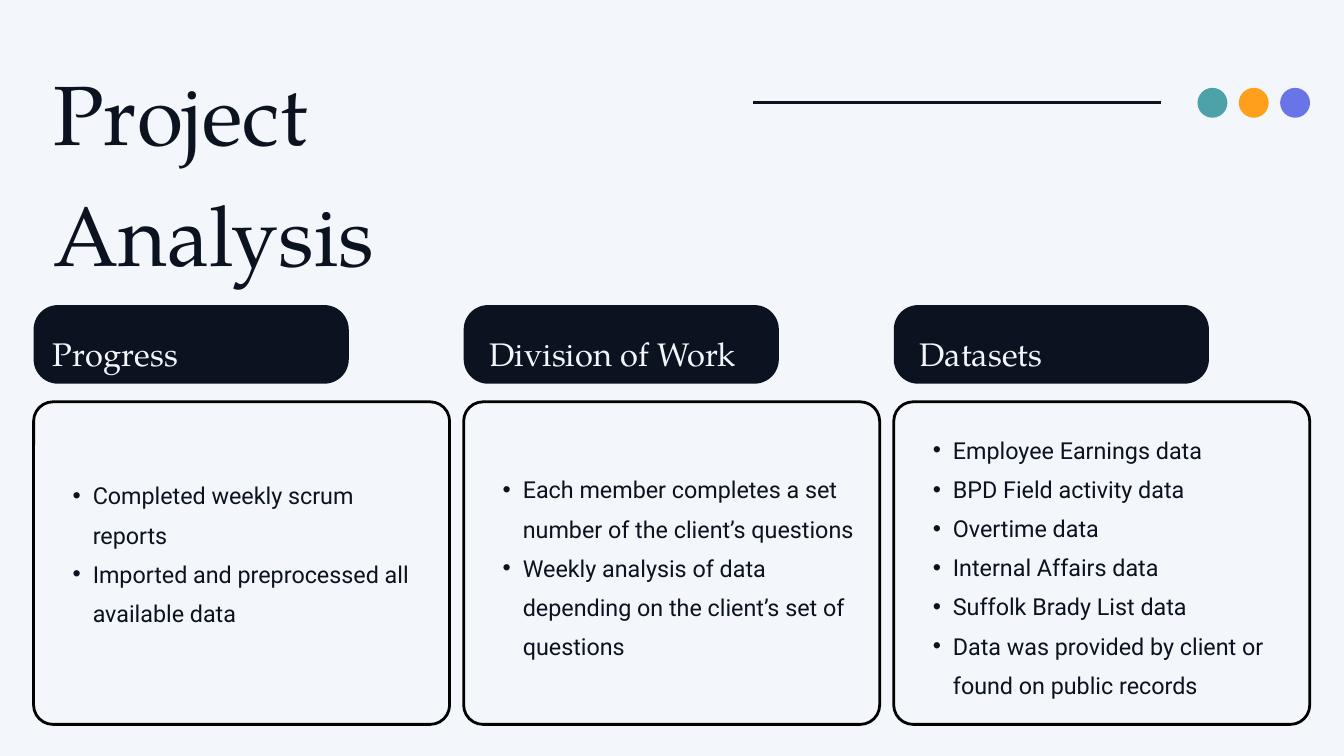
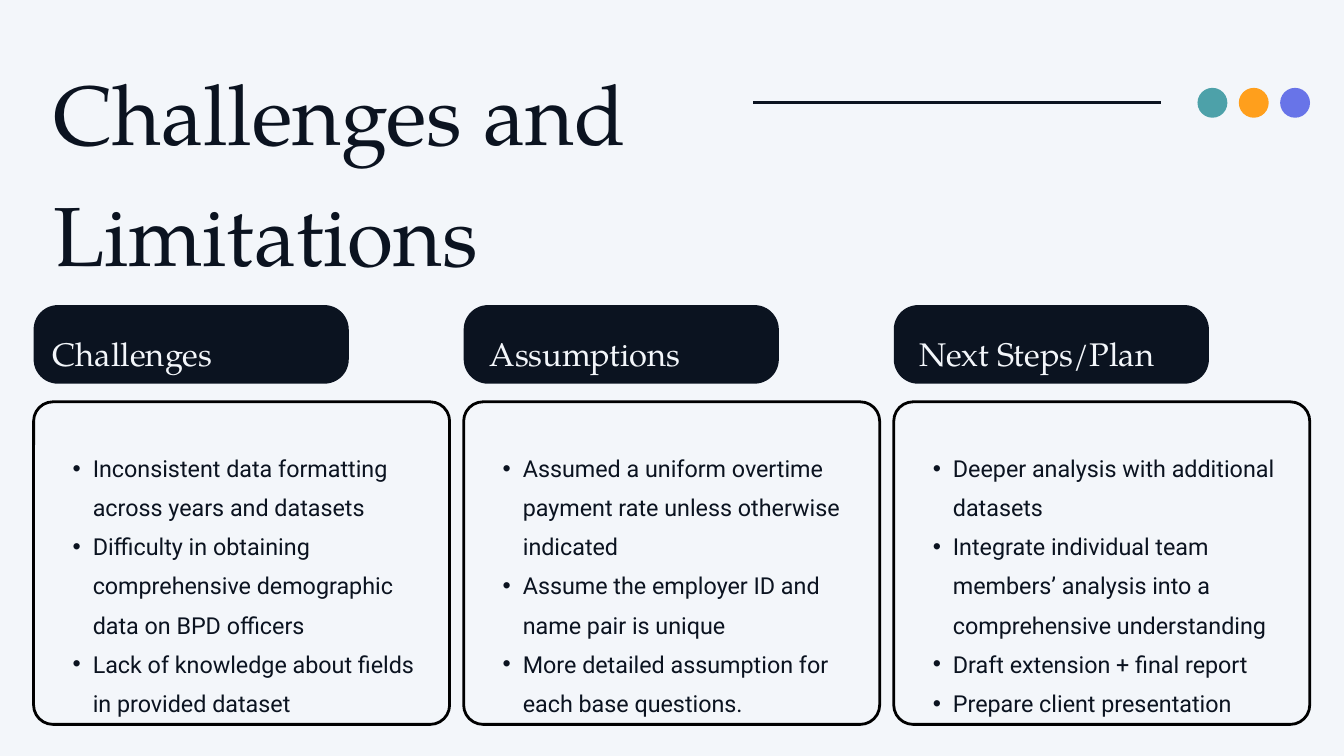
from lxml import etree
from pptx import Presentation
from pptx.dml.color import RGBColor
from pptx.enum.shapes import MSO_CONNECTOR, MSO_SHAPE
from pptx.enum.text import MSO_ANCHOR, MSO_AUTO_SIZE, PP_ALIGN
from pptx.oxml.ns import qn
from pptx.util import Inches, Pt

ROUNDED, OVAL = MSO_SHAPE.ROUNDED_RECTANGLE, MSO_SHAPE.OVAL
STRAIGHT = MSO_CONNECTOR.STRAIGHT
TOP, LEFT = MSO_ANCHOR.TOP, PP_ALIGN.LEFT
NO_AUTOFIT = MSO_AUTO_SIZE.NONE

COLORS = {
    "paper": "F3F6FA",
    "ink": "0B1320",
    "outline": "000000",
    "teal": "4DA1A9",
    "orange": "FF9F1C",
    "violet": "6874E8",
}
SERIF, SANS = "TeX Gyre Pagella", "Roboto"

# Grid, in inches
MARGIN, COLUMN_PITCH = 0.5, 6.4
CARD_TOP, CARD_WIDTH, CARD_HEIGHT = 5.98, 6.19, 4.8
TAB_TOP, TAB_WIDTH, TAB_HEIGHT = 4.54, 4.69, 1.17
TAB_INSETS = [0.18, 0.28, 0.28]
LIST_INDENT, LIST_WIDTH = 0.29, 5.62
RULE_START, RULE_END, RULE_Y = 11.21, 17.27, 1.53
DOT_LEFT, DOT_PITCH, DOT_SIZE = 17.82, 0.615, 0.445

# Each column: tab heading, top and height of the list, list items
SLIDES = [
    ("Project\nAnalysis", [
        ("Progress", 7, 2.59, [
            "Completed weekly scrum reports",
            "Imported and preprocessed all available data",
        ]),
        ("Division of Work", 6.91, 2.78, [
            "Each member completes a set number of the client’s questions",
            "Weekly analysis of data depending on the client’s set of questions",
        ]),
        ("Datasets", 6.32, 3.95, [
            "Employee Earnings data",
            "BPD Field activity data",
            "Overtime data",
            "Internal Affairs data",
            "Suffolk Brady List data",
            "Data was provided by client or found on public records",
        ]),
    ]),
    ("Challenges and\nLimitations", [
        ("Challenges", 6.59, 4.36, [
            "Inconsistent data formatting across years and datasets",
            "Difficulty in obtaining comprehensive demographic data on BPD officers",
            "Lack of knowledge about fields in provided dataset",
        ]),
        ("Assumptions", 6.59, 3.95, [
            "Assumed a uniform overtime payment rate unless otherwise indicated",
            "Assume the employer ID and name pair is unique",
            "More detailed assumption for each base questions.",
        ]),
        ("Next Steps/Plan", 6.59, 3.95, [
            "Deeper analysis with additional datasets",
            "Integrate individual team members’ analysis into a comprehensive understanding",
            "Draft extension + final report",
            "Prepare client presentation",
        ]),
    ]),
]


def write_text(box, text, font, size, color, spacing, bulleted=False):
    frame = box.text_frame
    frame.text = text
    frame.word_wrap = True
    frame.auto_size = NO_AUTOFIT
    frame.vertical_anchor = TOP
    frame.margin_left = frame.margin_top = frame.margin_right = frame.margin_bottom = 0
    for para in frame.paragraphs:
        para.alignment = LEFT
        para.line_spacing = spacing
        para.space_before = Pt(0)
        if bulleted:
            para.level = 1
            properties = para._p.get_or_add_pPr()
            properties.set("marL", str(Inches(0.59)))
            properties.set("indent", str(Inches(-0.3)))
            bullet_color = etree.SubElement(properties, qn("a:buClr"))
            etree.SubElement(bullet_color, qn("a:srgbClr"), val=COLORS[color])
            etree.SubElement(properties, qn("a:buChar"), char="•")
        for span in para.runs:
            span.font.name = font
            span.font.size = Pt(size)
            span.font.bold = False
            span.font.color.rgb = RGBColor.from_string(COLORS[color])


def add_plain_shape(page, kind, left, top, width, height, fill=None, line=None):
    shape = page.shapes.add_shape(
        kind, Inches(left), Inches(top), Inches(width), Inches(height))
    shape.shadow.inherit = False
    if fill:
        shape.fill.solid()
        shape.fill.fore_color.rgb = RGBColor.from_string(COLORS[fill])
    else:
        shape.fill.background()
    if line:
        shape.line.color.rgb = RGBColor.from_string(COLORS[line])
        shape.line.width = Pt(3)
    else:
        shape.line.fill.background()
    return shape


deck = Presentation()
deck.slide_width, deck.slide_height = Inches(20), Inches(11.25)
background = deck.slide_master.background.fill
background.solid()
background.fore_color.rgb = RGBColor.from_string(COLORS["paper"])
comparison_layout = deck.slide_layouts[4]

for title_text, columns in SLIDES:
    page = deck.slides.add_slide(comparison_layout)
    title, *lists, spare = page.placeholders
    spare.element.getparent().remove(spare.element)

    title.left, title.top = Inches(0.79), Inches(0.61)
    title.width, title.height = Inches(10.26), Inches(3.33)
    write_text(title, title_text, SERIF, 90, "ink", 1.2)

    for index, (heading, list_top, list_height, items) in enumerate(columns):
        left = MARGIN + index * COLUMN_PITCH
        card = add_plain_shape(page, ROUNDED, left, CARD_TOP, CARD_WIDTH, CARD_HEIGHT,
                               line="outline")
        card.adjustments[0] = 0.06

        tab = add_plain_shape(page, ROUNDED, left, TAB_TOP, TAB_WIDTH, TAB_HEIGHT, fill="ink")
        tab.adjustments[0] = 0.31
        write_text(tab, heading, SERIF, 35, "paper", 1.3)
        tab.text_frame.margin_left = Inches(TAB_INSETS[index])
        tab.text_frame.margin_top = Inches(0.14)

        body = lists[index]
        body.left, body.top = Inches(left + LIST_INDENT), Inches(list_top)
        body.width, body.height = Inches(LIST_WIDTH), Inches(list_height)
        write_text(body, "\n".join(items), SANS, 25, "ink", 1.4, bulleted=True)

    rule = page.shapes.add_connector(
        STRAIGHT, Inches(RULE_START), Inches(RULE_Y), Inches(RULE_END), Inches(RULE_Y))
    rule.line.color.rgb = RGBColor.from_string(COLORS["ink"])
    rule.line.width = Pt(3)
    etree.SubElement(rule.element.spPr, qn("a:effectLst"))

    for index, color in enumerate(["teal", "orange", "violet"]):
        add_plain_shape(page, OVAL, DOT_LEFT + index * DOT_PITCH, RULE_Y - DOT_SIZE / 2,
                        DOT_SIZE, DOT_SIZE, fill=color)

deck.save("out.pptx")
